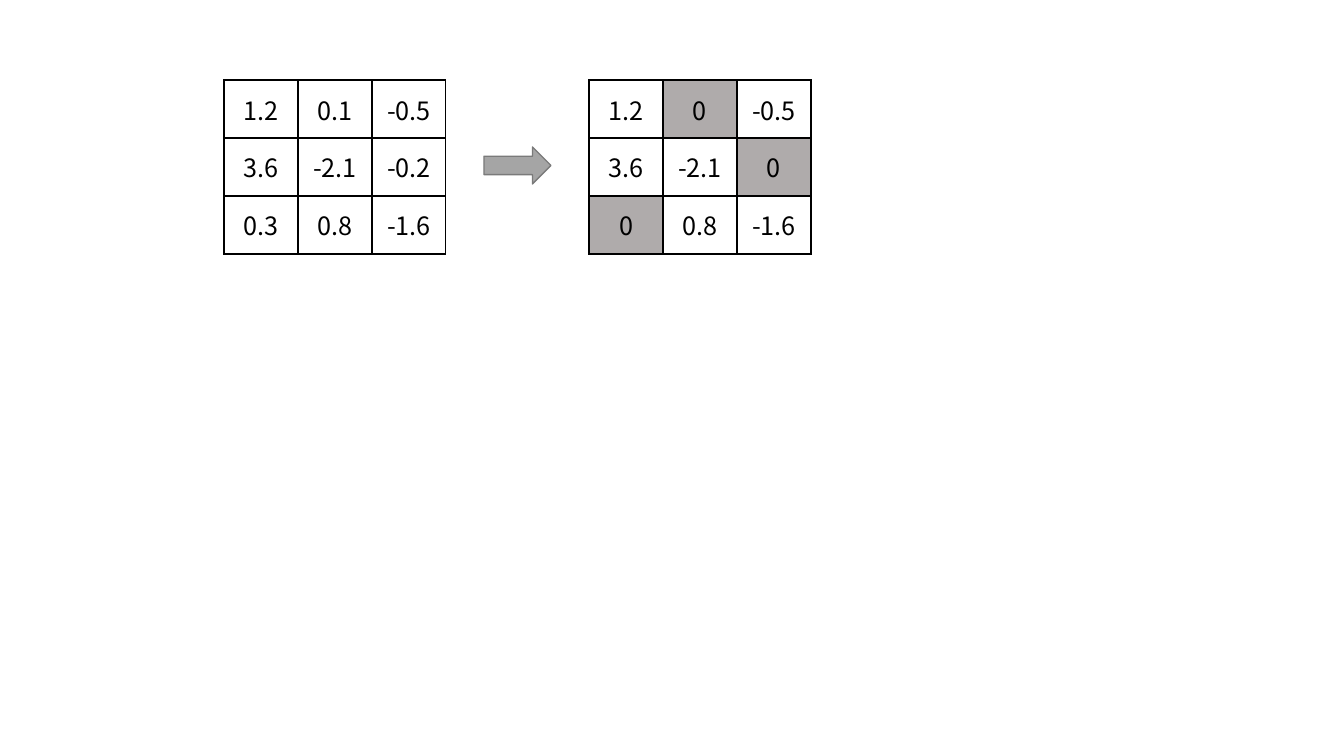
import dataclasses
import typing

import lxml.etree
import pptx
import pptx.dml.color
import pptx.enum.shapes
import pptx.enum.text
import pptx.oxml.ns
import pptx.slide
import pptx.table
import pptx.util

EMU_PER_PX = 914400 / 100.8


@dataclasses.dataclass(frozen=True)
class Theme:
    font: str = "Noto Sans CJK KR"
    text_size: int = 18
    line_width: int = 1
    ink: str = "000000"
    pruned_fill: str = "AFABAB"
    arrow_fill: str = "A5A5A5"
    arrow_line: str = "7A7A7A"


@dataclasses.dataclass(frozen=True)
class Matrix:
    left: int
    top: int
    rows: list[list[str]]


@dataclasses.dataclass(frozen=True)
class Arrow:
    left: int
    top: int
    width: int
    height: int


THEME = Theme()
COLUMN_WIDTH = 74
ROW_HEIGHT = 58
PRUNING_LIMIT = 0.3
WEIGHTS = [
    ["1.2", "0.1", "-0.5"],
    ["3.6", "-2.1", "-0.2"],
    ["0.3", "0.8", "-1.6"],
]
PRUNED_WEIGHTS = [
    ["0" if abs(float(weight)) <= PRUNING_LIMIT else weight for weight in row]
    for row in WEIGHTS
]
MATRICES = [Matrix(224, 80, WEIGHTS), Matrix(589, 80, PRUNED_WEIGHTS)]
PRUNING_ARROW = Arrow(484, 147, 67, 37)


def px(length: int) -> pptx.util.Emu:
    return pptx.util.Emu(round(length * EMU_PER_PX))


def color(value: str) -> pptx.dml.color.RGBColor:
    return pptx.dml.color.RGBColor.from_string(value)


def apply_format(target: typing.Any, values: dict[str, typing.Any]) -> None:
    for name, value in values.items():
        setattr(target, name, value)


CELL_FORMAT = {
    "margin_left": px(14),
    "margin_right": px(14),
    "margin_top": px(7),
    "margin_bottom": px(7),
    "vertical_anchor": pptx.enum.text.MSO_ANCHOR.MIDDLE,
}
FONT_FORMAT = {
    "name": THEME.font,
    "size": pptx.util.Pt(THEME.text_size),
    "bold": False,
}


def add_borders(cell: pptx.table._Cell) -> None:
    qualified = pptx.oxml.ns.qn
    properties = cell._tc.get_or_add_tcPr()
    for side in ("lnL", "lnR", "lnT", "lnB"):
        line = lxml.etree.SubElement(
            properties,
            qualified(f"a:{side}"),
            w=str(pptx.util.Pt(THEME.line_width)),
        )
        fill = lxml.etree.SubElement(line, qualified("a:solidFill"))
        lxml.etree.SubElement(fill, qualified("a:srgbClr"), val=THEME.ink)


def format_cell(cell: pptx.table._Cell, text: str) -> None:
    apply_format(cell, CELL_FORMAT)
    add_borders(cell)
    if text == "0":
        cell.fill.solid()
        cell.fill.fore_color.rgb = color(THEME.pruned_fill)
    else:
        cell.fill.background()
    paragraph = cell.text_frame.paragraphs[0]
    paragraph.alignment = pptx.enum.text.PP_ALIGN.CENTER
    run = paragraph.add_run()
    run.text = text
    apply_format(run.font, FONT_FORMAT)
    run.font.color.rgb = color(THEME.ink)


def add_matrix(slide: pptx.slide.Slide, matrix: Matrix) -> None:
    row_count, column_count = len(matrix.rows), len(matrix.rows[0])
    table = slide.shapes.add_table(
        row_count,
        column_count,
        px(matrix.left),
        px(matrix.top),
        px(column_count * COLUMN_WIDTH),
        px(row_count * ROW_HEIGHT),
    ).table
    apply_format(table, {"first_row": False, "horz_banding": False})
    for column in table.columns:
        column.width = px(COLUMN_WIDTH)
    for row, weights in zip(table.rows, matrix.rows):
        row.height = px(ROW_HEIGHT)
        for cell, weight in zip(row.cells, weights):
            format_cell(cell, weight)


def add_arrow(slide: pptx.slide.Slide, arrow: Arrow) -> None:
    shape = slide.shapes.add_shape(
        pptx.enum.shapes.MSO_SHAPE.RIGHT_ARROW,
        px(arrow.left),
        px(arrow.top),
        px(arrow.width),
        px(arrow.height),
    )
    shape.shadow.inherit = False
    shape.fill.solid()
    shape.fill.fore_color.rgb = color(THEME.arrow_fill)
    shape.line.color.rgb = color(THEME.arrow_line)
    shape.line.width = pptx.util.Pt(THEME.line_width)


def main() -> None:
    presentation = pptx.Presentation()
    apply_format(
        presentation, {"slide_width": px(1344), "slide_height": px(756)}
    )
    slide = presentation.slides.add_slide(presentation.slide_layouts[6])
    for matrix in MATRICES:
        add_matrix(slide, matrix)
    add_arrow(slide, PRUNING_ARROW)
    presentation.save("out.pptx")


if __name__ == "__main__":
    main()
